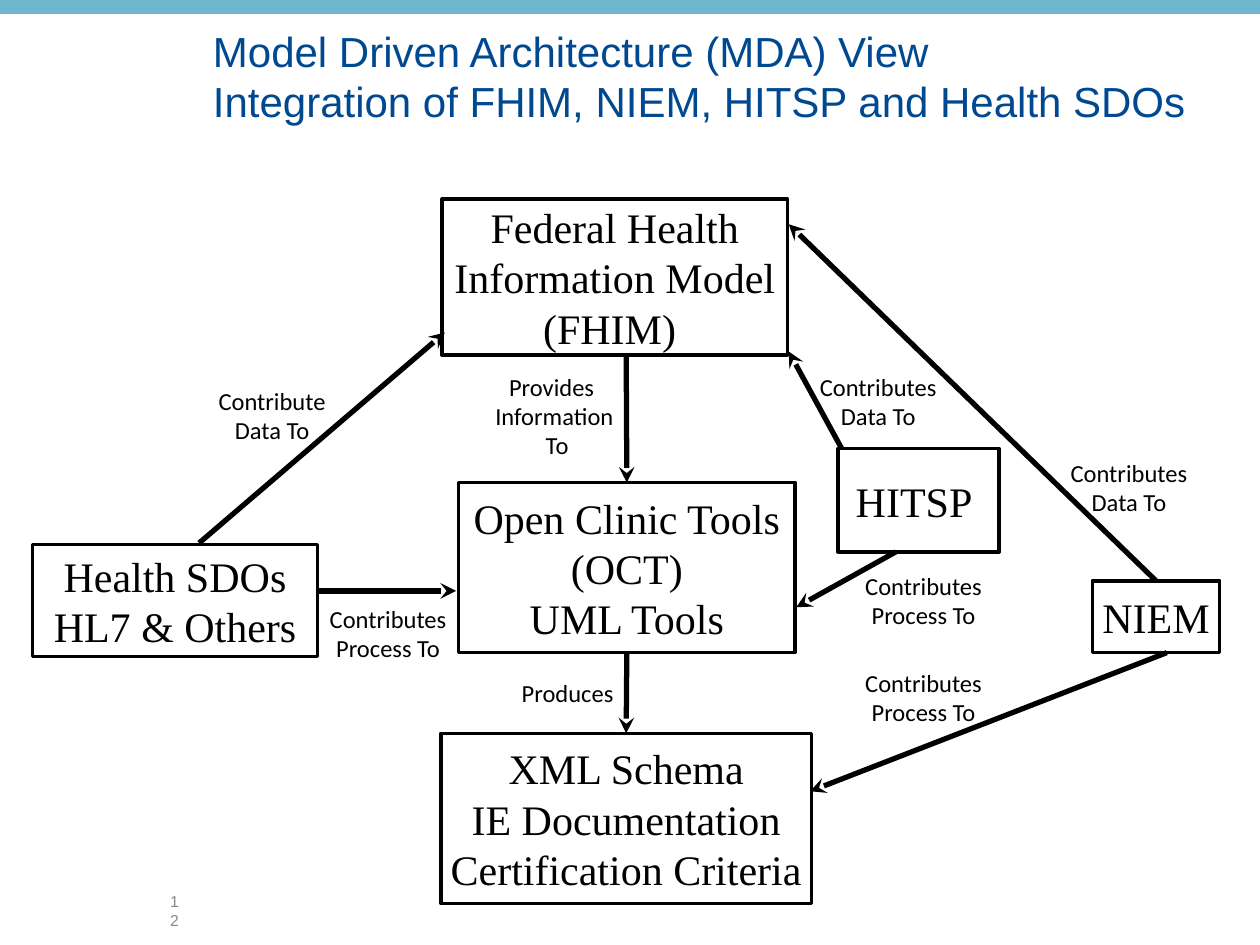
from typing import NamedTuple, Optional

from lxml import etree
from pptx import Presentation
from pptx.dml.color import RGBColor
from pptx.enum.shapes import MSO_CONNECTOR as Connector, MSO_SHAPE as Preset
from pptx.enum.text import MSO_ANCHOR as Anchor, PP_ALIGN as Align
from pptx.oxml.ns import qn
from pptx.util import Inches, Pt

BLACK, WHITE, TEAL, NAVY, GREY = "000000", "FFFFFF", "6FB5CC", "004990", "898989"
TOP, BOTTOM = 0, 2


class Node(NamedTuple):
    name: str
    left: float
    top: float
    width: float
    height: float
    lines: list[str]


class Label(NamedTuple):
    left: float
    top: float
    width: float
    height: float
    lines: list[str]


class Arrow(NamedTuple):
    start: tuple[float, float]
    end: tuple[float, float]
    source: Optional[tuple[str, int]] = None
    target: Optional[tuple[str, int]] = None


DATA_TO = ["Contributes", "Data To"]
PROCESS_TO = ["Contributes", "Process To"]

NODES = [
    Node("fhim", 3.51, 1.58, 2.74, 1.24, ["Federal Health Information Model (FHIM) "]),
    Node("sdos", 0.26, 4.32, 2.26, 0.89, ["Health SDOs", "HL7 & Others"]),
    Node("niem", 8.67, 4.61, 1.01, 0.57, ["NIEM"]),
    Node("hitsp", 6.65, 3.56, 1.28, 0.82, ["HITSP "]),
    Node("tools", 3.64, 3.83, 2.67, 1.35, ["Open Clinic Tools (OCT)", "UML Tools"]),
    Node("schema", 3.5, 5.82, 2.94, 1.35,
         ["XML Schema", "IE Documentation", "Certification Criteria"]),
]
ARROWS = [
    Arrow((9.14, 4.61), (6.26, 1.78), source=("niem", TOP)),
    Arrow((4.97, 2.81), (4.97, 3.83), target=("tools", TOP)),
    Arrow((2.51, 4.69), (3.62, 4.69)),
    Arrow((4.97, 5.19), (4.97, 5.85), ("tools", BOTTOM), ("schema", TOP)),
    Arrow((9.26, 5.18), (6.43, 6.28)),
    Arrow((1.58, 4.31), (3.53, 2.64)),
    Arrow((6.68, 3.56), (6.26, 2.79)),
    Arrow((7.11, 4.38), (6.32, 4.82)),
]
LABELS = [
    Label(2.54, 4.79, 1.08, 0.47, PROCESS_TO),
    Label(3.85, 2.95, 1.1, 0.7, ["Provides ", "Information", " To"]),
    Label(4.08, 5.38, 0.85, 0.23, ["Produces"]),
    Label(1.67, 3.06, 0.98, 0.47, ["Contribute", "Data To"]),
    Label(8.42, 3.63, 1.08, 0.47, DATA_TO),
    Label(6.79, 5.3, 1.08, 0.47, PROCESS_TO),
    Label(6.43, 2.95, 1.08, 0.47, DATA_TO),
    Label(6.79, 4.53, 1.08, 0.47, PROCESS_TO),
]


def color(value: str) -> RGBColor:
    return RGBColor.from_string(value)


def write(shape, lines: list[str], *, font: str, size: float, ink: str = BLACK,
          align=Align.CENTER, anchor=Anchor.MIDDLE, wrap: bool = True,
          margins=(0, 0, 0, 0)) -> None:
    """Fill a shape with one paragraph per line; margins run left, top, right, bottom."""
    frame = shape.text_frame
    frame.word_wrap = wrap
    frame.vertical_anchor = anchor
    (frame.margin_left, frame.margin_top,
     frame.margin_right, frame.margin_bottom) = map(Inches, margins)
    for index, line in enumerate(lines):
        para = frame.add_paragraph() if index else frame.paragraphs[0]
        para.alignment = align
        span = para.add_run()
        span.text = line
        span.font.name = font
        span.font.size = Pt(size)
        span.font.color.rgb = color(ink)


def add_rectangle(page, left: float, top: float, width: float, height: float,
                  fill: str, outline: Optional[str] = None):
    box = page.shapes.add_shape(Preset.RECTANGLE, *map(Inches, (left, top, width, height)))
    box.shadow.inherit = False
    box.fill.solid()
    box.fill.fore_color.rgb = color(fill)
    if outline:
        box.line.color.rgb = color(outline)
        box.line.width = Pt(2)
    else:
        box.line.fill.background()
    return box


def add_text(page, left: float, top: float, width: float, height: float,
             lines: list[str], **style) -> None:
    box = page.shapes.add_textbox(*map(Inches, (left, top, width, height)))
    write(box, lines, **style)


def add_node(page, node: Node):
    box = add_rectangle(page, node.left, node.top, node.width, node.height, WHITE, BLACK)
    write(box, node.lines, font="Times New Roman", size=24)
    return box


def add_arrow(page, arrow: Arrow, boxes: dict) -> None:
    line = page.shapes.add_connector(
        Connector.STRAIGHT, *map(Inches, arrow.start + arrow.end))
    if arrow.source:
        name, side = arrow.source
        line.begin_connect(boxes[name], side)
    if arrow.target:
        name, side = arrow.target
        line.end_connect(boxes[name], side)
    line.line.color.rgb = color(BLACK)
    line.line.width = Pt(3)
    etree.SubElement(line.line._get_or_add_ln(), qn("a:tailEnd"), type="stealth")
    etree.SubElement(line._element.spPr, qn("a:effectLst"))


def main() -> None:
    deck = Presentation()
    deck.slide_width, deck.slide_height = Inches(10), Inches(7.5)
    page = deck.slides.add_slide(deck.slide_layouts[6])

    add_rectangle(page, 0, 0, 10, 0.11, TEAL)
    boxes = {node.name: add_node(page, node) for node in NODES}
    for arrow in ARROWS:
        add_arrow(page, arrow, boxes)
    for label in LABELS:
        add_text(page, *label, font="Calibri", size=14, wrap=False)

    add_text(page, 1.65, 0.2, 8.31, 1.12,
             ["Model Driven Architecture (MDA) View",
              "Integration of FHIM, NIEM, HITSP and Health SDOs"],
             font="Arial", size=24, ink=NAVY, align=Align.LEFT, anchor=Anchor.TOP,
             margins=(0.04, 0, 0.04, 0))
    add_text(page, 1.25, 7.1, 0.27, 0.25, ["12"], font="Arial", size=9, ink=GREY,
             margins=(0.1, 0.05, 0.1, 0.05))
    deck.save("out.pptx")


if __name__ == "__main__":
    main()
